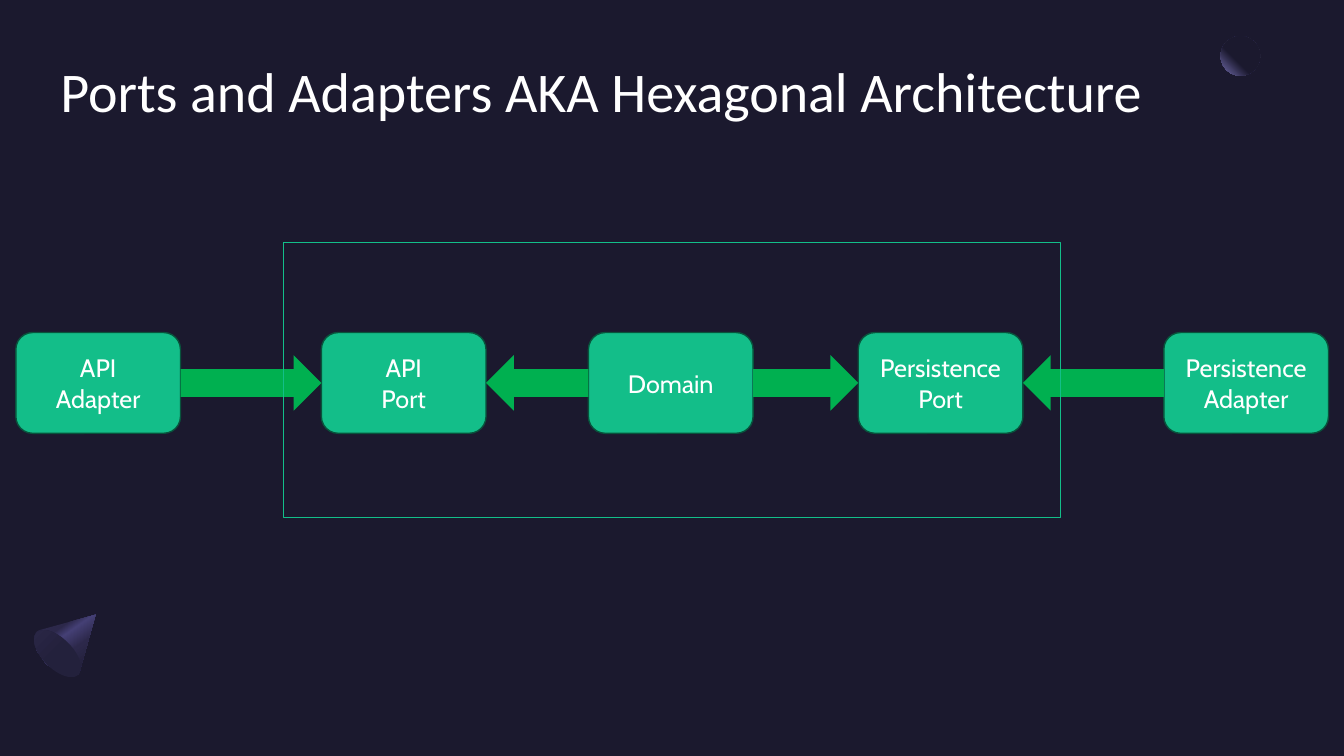
from dataclasses import dataclass

import pptx
import pptx.dml.color
import pptx.enum.shapes
import pptx.enum.text
import pptx.oxml.ns
import pptx.util
from lxml import etree

Cm = pptx.util.Cm
Pt = pptx.util.Pt
Shape = pptx.enum.shapes.MSO_SHAPE
qn = pptx.oxml.ns.qn


@dataclass(frozen=True)
class Theme:
    background: str = "1B192E"
    text: str = "FFFFFF"
    component: str = "13BE89"
    component_edge: str = "08533C"
    arrow: str = "00B050"
    moon: tuple = ((60, "1B192E"), (100, "7771B2"))
    cone: tuple = ((30, "2C284A"), (40, "454075"), (60, "2C284A"), (100, "1B192E"))
    cone_base: tuple = ((50, "23213C"), (100, "2C284A"))
    title_font: str = "Calibri"
    component_font: str = "Cabin"
    title_size: int = 40
    component_size: int = 18


THEME = Theme()

# Layout in centimetres
MIDLINE = 9.65
COMPONENT_WIDTH, COMPONENT_HEIGHT = 4.15, 2.54
ARROW_HEIGHT = 1.4

# Left edge and label; "\v" is a line break, "\n" a new paragraph
COMPONENTS = (
    (0.4, "API\vAdapter"),
    (8.1, "API\vPort"),
    (14.83, "Domain"),
    (21.63, "Persistence\nPort"),
    (29.33, "Persistence\nAdapter"),
)
# One arrow in each gap between neighbouring components
DIRECTIONS = (Shape.RIGHT_ARROW, Shape.LEFT_ARROW, Shape.RIGHT_ARROW, Shape.LEFT_ARROW)

CONE_OUTLINE = (
    (2.41, 15.49), (2.01, 16.92), (1.98, 16.99), (1.83, 17.05), (1.52, 16.95),
    (1.17, 16.74), (0.93, 16.4), (0.85, 16.1), (0.91, 15.93), (0.99, 15.88),
)


def rgb(code):
    return pptx.dml.color.RGBColor.from_string(code)


def paint(shape, fill=None, edge=None, edge_width=1):
    shape.shadow.inherit = False
    if fill:
        shape.fill.solid()
        shape.fill.fore_color.rgb = rgb(fill)
    else:
        shape.fill.background()
    if edge:
        shape.line.color.rgb = rgb(edge)
        shape.line.width = Pt(edge_width)
    else:
        shape.line.fill.background()


def paint_gradient(shape, stops, angle=None):
    """Linear gradient at an angle, or a circular one from the top right corner."""
    paint(shape)
    gradient = etree.Element(qn("a:gradFill"), rotWithShape="1")
    stop_list = etree.SubElement(gradient, qn("a:gsLst"))
    for position, code in stops:
        stop = etree.SubElement(stop_list, qn("a:gs"), pos=str(position * 1000))
        etree.SubElement(stop, qn("a:srgbClr"), val=code)
    if angle is None:
        circle = etree.SubElement(gradient, qn("a:path"), path="circle")
        etree.SubElement(circle, qn("a:fillToRect"), l="100000", b="100000")
    else:
        etree.SubElement(gradient, qn("a:lin"), ang=str(angle * 60000), scaled="0")
    properties = shape.element.spPr
    properties.replace(properties.find(qn("a:noFill")), gradient)


def format_text(frame, font, size, align):
    for paragraph in frame.paragraphs:
        paragraph.alignment = align
        for run in paragraph.runs:
            run.font.name = font
            run.font.size = Pt(size)
            run.font.color.rgb = rgb(THEME.text)


def add_preset(slide, kind, left, top, width, height):
    return slide.shapes.add_shape(kind, Cm(left), Cm(top), Cm(width), Cm(height))


def add_title(slide, wording):
    title = slide.shapes.add_textbox(Cm(1.52), Cm(1.42), Cm(30.81), Cm(3.71))
    frame = title.text_frame
    frame.word_wrap = True
    frame.margin_left = frame.margin_top = frame.margin_right = frame.margin_bottom = 0
    frame.text = wording
    format_text(frame, THEME.title_font, THEME.title_size, pptx.enum.text.PP_ALIGN.LEFT)


def add_component(slide, left, label):
    component = add_preset(slide, Shape.ROUNDED_RECTANGLE, left,
                           MIDLINE - COMPONENT_HEIGHT / 2, COMPONENT_WIDTH, COMPONENT_HEIGHT)
    paint(component, THEME.component, THEME.component_edge)
    frame = component.text_frame
    frame.word_wrap = True
    frame.vertical_anchor = pptx.enum.text.MSO_ANCHOR.MIDDLE
    frame.text = label
    format_text(frame, THEME.component_font, THEME.component_size,
                pptx.enum.text.PP_ALIGN.CENTER)


def add_dependency(slide, direction, start, end):
    arrow = add_preset(slide, direction, start, MIDLINE - ARROW_HEIGHT / 2,
                       end - start, ARROW_HEIGHT)
    paint(arrow, THEME.arrow)


def add_decoration(slide):
    moon = add_preset(slide, Shape.OVAL, 30.76, 0.91, 1, 1)
    paint_gradient(moon, THEME.moon)

    outline = [(Cm(x), Cm(y)) for x, y in CONE_OUTLINE]
    builder = slide.shapes.build_freeform(*outline[0])
    builder.add_line_segments(outline[1:], close=True)
    paint_gradient(builder.convert_to_shape(), THEME.cone, angle=55)

    cone_base = add_preset(slide, Shape.OVAL, 1.07, 15.72, 0.76, 1.5)
    cone_base.rotation = 135
    paint_gradient(cone_base, THEME.cone_base, angle=90)


def main():
    deck = pptx.Presentation()
    deck.slide_width, deck.slide_height = Cm(33.87), Cm(19.05)
    slide = deck.slides.add_slide(deck.slide_layouts[6])
    slide.background.fill.solid()
    slide.background.fill.fore_color.rgb = rgb(THEME.background)

    add_decoration(slide)
    add_title(slide, "Ports and Adapters AKA Hexagonal Architecture")

    # Components and the dependencies between them
    for left, label in COMPONENTS:
        add_component(slide, left, label)
    for direction, (before, _), (after, _) in zip(DIRECTIONS, COMPONENTS, COMPONENTS[1:]):
        add_dependency(slide, direction, before + COMPONENT_WIDTH, after)

    # Boundary of the hexagon
    boundary = add_preset(slide, Shape.RECTANGLE, 7.15, 6.12, 19.58, 6.93)
    paint(boundary, edge=THEME.component, edge_width=0.75)

    deck.save("out.pptx")


if __name__ == "__main__":
    main()
